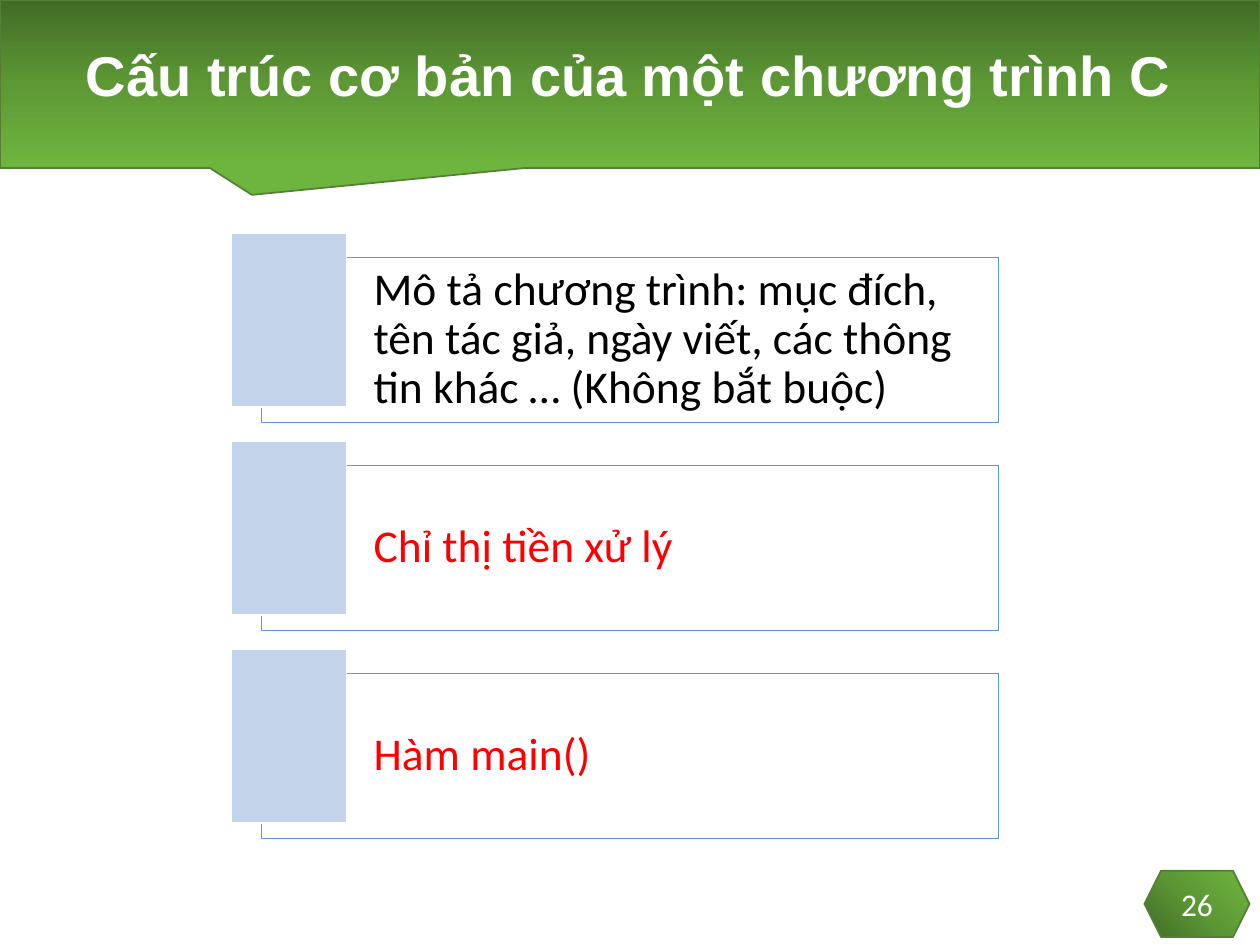
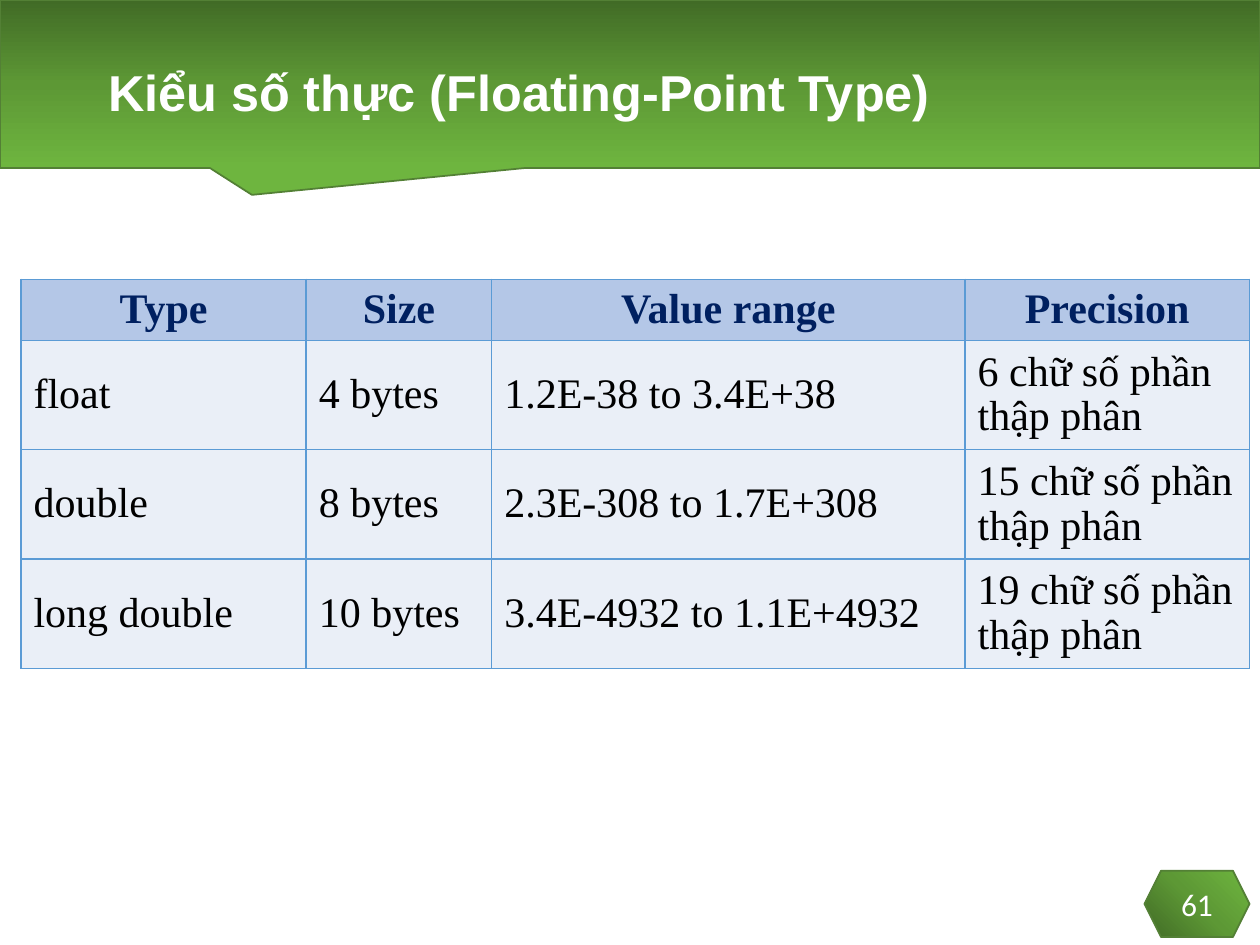
from lxml import etree
from pptx import Presentation
from pptx.dml.color import RGBColor
from pptx.enum import shapes, text
from pptx.oxml import parse_xml
from pptx.oxml.ns import nsdecls, qn
from pptx.util import Pt

WHITE = RGBColor(0xFF, 0xFF, 0xFF)
BLACK = RGBColor(0x00, 0x00, 0x00)
RED = RGBColor(0xFF, 0x00, 0x00)
NAVY = RGBColor(0x00, 0x20, 0x60)
GREEN_LINE = RGBColor(0x53, 0x80, 0x35)
BLUE_LINE = RGBColor(0x5B, 0x9B, 0xD5)
MARKER_BLUE = RGBColor(0xC4, 0xD5, 0xEB)
HEADER_BLUE = RGBColor(0xB4, 0xC7, 0xE7)
ROW_BLUE = RGBColor(0xEA, 0xEF, 0xF7)
GREENS = ((0, RGBColor(0x41, 0x6B, 0x26)),
          (50, RGBColor(0x5D, 0x98, 0x35)),
          (100, RGBColor(0x6E, 0xB5, 0x3F)))
DOWNWARD = '<a:lin ang="5400000" scaled="0"/>'
FROM_BOTTOM_LEFT = ('<a:path path="circle">'
                    '<a:fillToRect t="100000" r="100000"/></a:path>')
CELL_EDGES = ("a:lnL", "a:lnR", "a:lnT", "a:lnB")

PROGRAM_SECTIONS = (
    ("Mô tả chương trình: mục đích, tên tác giả, ngày viết, "
     "các thông tin khác … (Không bắt buộc)", BLACK),
    ("Chỉ thị tiền xử lý", RED),
    ("Hàm main()", RED),
)
FLOAT_TYPES = (
    ("Type", "Size", "Value range", "Precision"),
    ("float", "4 bytes", "1.2E-38 to 3.4E+38", "6 chữ số phần thập phân"),
    ("double", "8 bytes", "2.3E-308 to 1.7E+308", "15 chữ số phần thập phân"),
    ("long double", "10 bytes", "3.4E-4932 to 1.1E+4932",
     "19 chữ số phần thập phân"),
)


def write(frame, content, font="Calibri", size=18, color=BLACK, bold=False,
          align=text.PP_ALIGN.LEFT, spacing=1.0):
    """Put one formatted paragraph into a text frame."""
    frame.word_wrap = True
    para = frame.paragraphs[0]
    para.alignment = align
    para.line_spacing = spacing
    span = para.add_run()
    span.text = content
    span.font.name = font
    span.font.size = Pt(size)
    span.font.color.rgb = color
    span.font.bold = bold


def set_insets(frame, left, top, right, bottom):
    frame.margin_left, frame.margin_top = Pt(left), Pt(top)
    frame.margin_right, frame.margin_bottom = Pt(right), Pt(bottom)


def fill_green(shape, direction):
    stops = "".join(
        f'<a:gs pos="{position * 1000}"><a:srgbClr val="{color}"/></a:gs>'
        for position, color in GREENS)
    gradient = parse_xml(f'<a:gradFill {nsdecls("a")} rotWithShape="1">'
                         f'<a:gsLst>{stops}</a:gsLst>{direction}</a:gradFill>')
    shape.fill.background()
    properties = shape._element.spPr
    properties.replace(properties.find(qn("a:noFill")), gradient)


def set_opacity(shape, percent):
    color = shape._element.spPr.find(qn("a:solidFill"))[0]
    etree.SubElement(color, qn("a:alpha")).set("val", str(percent * 1000))


def outline_cell(cell, color, width):
    properties = cell._tc.get_or_add_tcPr()
    for position, edge in enumerate(CELL_EDGES):
        line = parse_xml(f'<{edge} {nsdecls("a")} w="{Pt(width)}"><a:solidFill>'
                         f'<a:srgbClr val="{color}"/></a:solidFill></{edge}>')
        properties.insert(position, line)


class SlideBuilder:
    """Holds the deck, its common look and the slide being filled."""

    def __init__(self):
        self.deck = Presentation()
        self.deck.slide_width, self.deck.slide_height = Pt(720), Pt(540)
        self.page = None

    def add_page(self, number):
        self.page = self.deck.slides.add_slide(self.deck.slide_layouts[6])
        band = self.shape(shapes.MSO_SHAPE.RECTANGULAR_CALLOUT,
                          0, 0, 720, 96, line=GREEN_LINE)
        band.adjustments[0], band.adjustments[1] = -0.3, 0.66
        fill_green(band, DOWNWARD)
        badge = self.shape(shapes.MSO_SHAPE.HEXAGON, 654, 497.5, 60, 38,
                           line=GREEN_LINE)
        fill_green(badge, FROM_BOTTOM_LEFT)
        set_insets(badge.text_frame, 0, 0, 0, 0)
        write(badge.text_frame, number, color=WHITE,
              align=text.PP_ALIGN.CENTER)

    def shape(self, kind, left, top, width, height, line, fill=None, weight=1):
        shape = self.page.shapes.add_shape(
            kind, Pt(left), Pt(top), Pt(width), Pt(height))
        shape.shadow.inherit = False
        shape.line.color.rgb = line
        shape.line.width = Pt(weight)
        if fill is not None:
            shape.fill.solid()
            shape.fill.fore_color.rgb = fill
        shape.text_frame.vertical_anchor = text.MSO_ANCHOR.MIDDLE
        return shape

    def title(self, content, left, top, width, height, size):
        box = self.page.shapes.add_textbox(
            Pt(left), Pt(top), Pt(width), Pt(height))
        box.text_frame.vertical_anchor = text.MSO_ANCHOR.MIDDLE
        write(box.text_frame, content, font="Arial", size=size, color=WHITE,
              bold=True, spacing=0.9)

    def marked_panel(self, content, color, top):
        """Draw a framed statement with a marker overlapping its left end."""
        rectangle = shapes.MSO_SHAPE.RECTANGLE
        panel = self.shape(rectangle, 149.5, top, 421, 94.5, line=BLUE_LINE,
                           fill=WHITE, weight=0.5)
        set_opacity(panel, 40)
        set_insets(panel.text_frame, 64, 8, 8, 8)
        write(panel.text_frame, content, size=26, color=color, spacing=0.9)
        self.shape(rectangle, 132, top - 13.7, 66, 99.4, line=WHITE,
                   fill=MARKER_BLUE)

    def table(self, rows, left, top, widths, heights):
        grid = self.page.shapes.add_table(
            len(rows), len(widths), Pt(left), Pt(top),
            Pt(sum(widths)), Pt(sum(heights))).table
        grid.first_row = grid.horz_banding = False
        for column, width in zip(grid.columns, widths):
            column.width = Pt(width)
        for index, (values, height) in enumerate(zip(rows, heights)):
            grid.rows[index].height = Pt(height)
            for column, value in enumerate(values):
                self.cell(grid.cell(index, column), value, header=index == 0)

    def cell(self, cell, value, header):
        cell.vertical_anchor = text.MSO_ANCHOR.MIDDLE
        cell.fill.solid()
        cell.fill.fore_color.rgb = HEADER_BLUE if header else ROW_BLUE
        outline_cell(cell, BLUE_LINE, 1)
        write(cell.text_frame, value, font="Times New Roman", size=24,
              color=NAVY if header else BLACK, bold=header, spacing=0.96,
              align=text.PP_ALIGN.CENTER if header else text.PP_ALIGN.LEFT)


def main():
    builder = SlideBuilder()

    builder.add_page("26")
    builder.title("Cấu trúc cơ bản của một chương trình C",
                  42, 6, 636, 78, size=32)
    for index, (content, color) in enumerate(PROGRAM_SECTIONS):
        builder.marked_panel(content, color, top=147 + index * 118.8)

    builder.add_page("61")
    builder.title("Kiểu số thực (Floating-Point Type)",
                  54.7, 34.5, 513, 40, size=28.8)
    builder.table(FLOAT_TYPES, 12, 159.6, widths=(163, 106, 270.5, 162.5),
                  heights=(33.7, 60.3, 60.3, 60.3))

    builder.deck.save("out.pptx")


if __name__ == "__main__":
    main()
